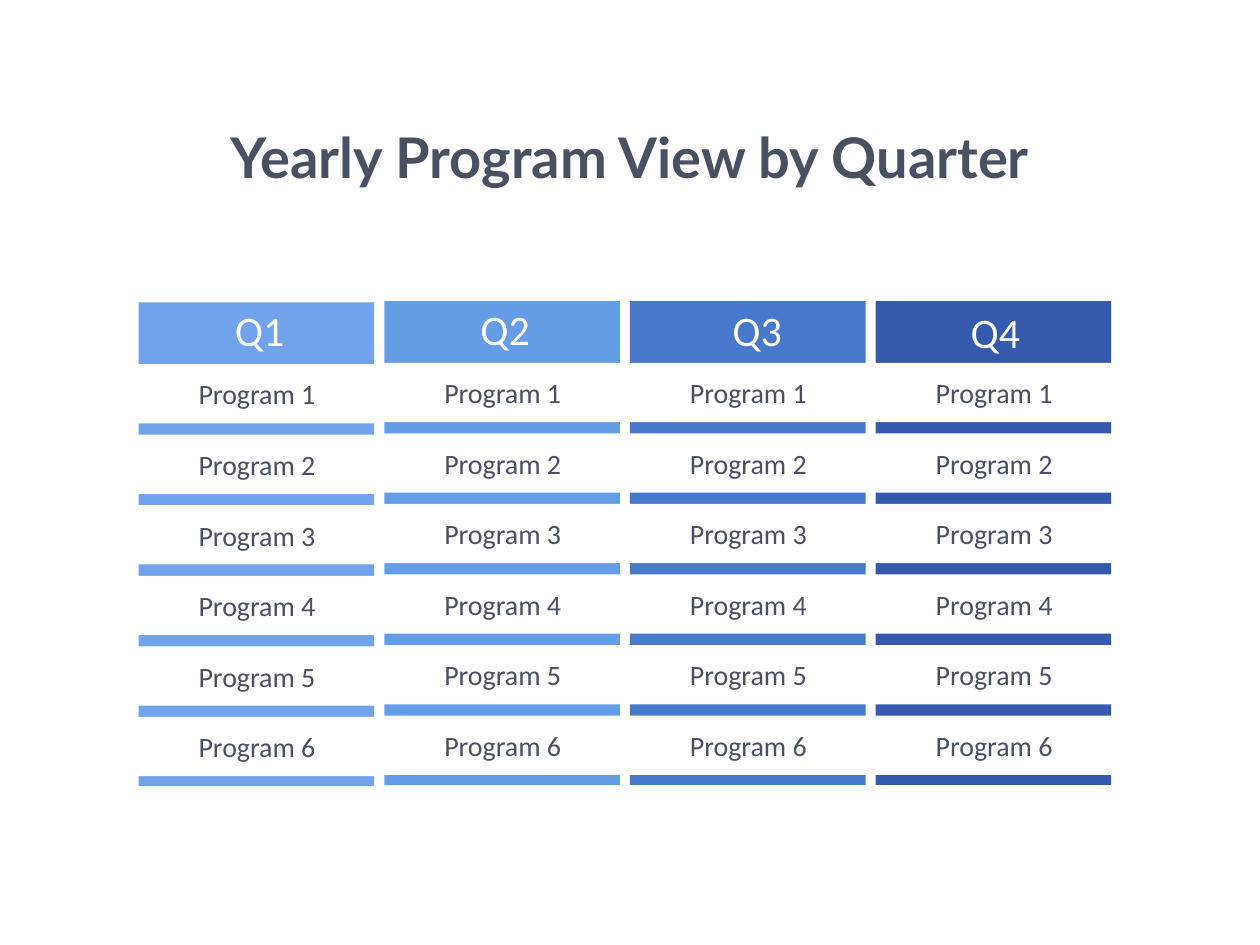
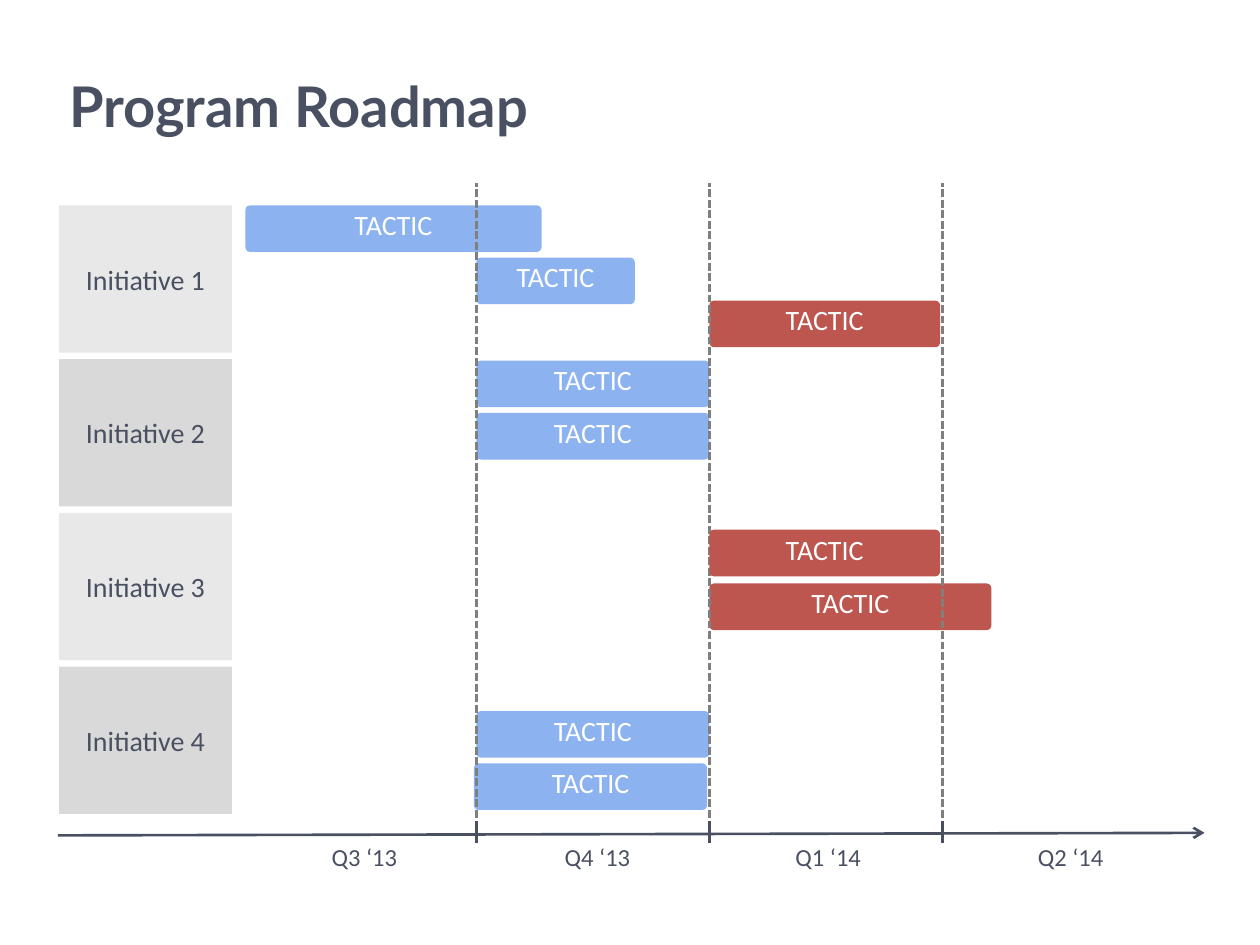
from dataclasses import dataclass
from typing import Any, NamedTuple

from lxml import etree
from pptx import Presentation
from pptx import util as u
from pptx.dml.color import RGBColor
from pptx.enum import dml, shapes, text
from pptx.oxml import ns

# Shared look
WIDE, HIGH = 10, 7.5
INK, WHITE, DASH = "495061", "FFFFFF", "7F7F7F"
BLUE, RED = "8CB2F0", "BD564F"
GREYS = ("E8E8E8", "D9D9D9")
RECT = shapes.MSO_SHAPE.RECTANGLE
ROUND = shapes.MSO_SHAPE.ROUNDED_RECTANGLE
LEFT, MID = text.PP_ALIGN.LEFT, text.PP_ALIGN.CENTER
HEAD = {"name": "Lato", "size": u.Pt(32), "bold": True}
BODY = {"name": "Calibri", "size": u.Pt(16)}
TERM = {"name": "Calibri", "size": u.Pt(24)}
DATE = {"name": "Calibri", "size": u.Pt(14)}


class Box(NamedTuple):
    x: float
    y: float
    w: float
    h: float


@dataclass
class Grid:
    """Evenly spaced columns and rows, in inches."""
    x: float
    y: float
    w: float
    h: float

    def col(self, n: float) -> float:
        return self.x + n * self.w

    def row(self, n: float) -> float:
        return self.y + n * self.h


class Term(NamedTuple):
    name: str
    fill: str
    nudge: float  # label centre, past the column centre
    drop: float   # shift down of the whole column


class Task(NamedTuple):
    start: float  # in quarters
    lane: float   # in rows
    span: float   # in quarters
    fill: str


def paint(tone: str) -> RGBColor:
    return RGBColor.from_string(tone)


def inches(*sizes: float) -> list[int]:
    return [u.Inches(size) for size in sizes]


def write(item: Any, words: str, font: dict, tone: str, align=MID,
          **frame: Any) -> None:
    body = item.text_frame
    for key, val in {"word_wrap": True, **frame}.items():
        setattr(body, key, val)
    par = body.paragraphs[0]
    par.text, par.alignment = words, align
    for key, val in font.items():
        setattr(par.font, key, val)
    par.font.color.rgb = paint(tone)


def label(slide: Any, box: Box, words: str, font: dict, tone: str,
          align=MID, **frame: Any) -> None:
    write(slide.shapes.add_textbox(*inches(*box)), words, font, tone,
          align, **frame)


def block(slide: Any, box: Box, fill: str, words: str = "",
          tone: str = INK, kind=RECT) -> Any:
    item = slide.shapes.add_shape(kind, *inches(*box))
    item.shadow.inherit = False
    item.fill.solid()
    item.fill.fore_color.rgb = paint(fill)
    item.line.fill.background()
    if words:
        write(item, words, BODY, tone,
              vertical_anchor=text.MSO_ANCHOR.MIDDLE)
    return item


def rule(slide: Any, x1: float, y1: float, x2: float, y2: float,
         tone: str = INK, dash: Any = None, arrow: bool = False) -> None:
    item = slide.shapes.add_connector(
        shapes.MSO_CONNECTOR.STRAIGHT, *inches(x1, y1, x2, y2))
    item.line.color.rgb = paint(tone)
    item.line.width = u.Pt(1.5)
    if dash:
        item.line.dash_style = dash
    if arrow:
        etree.SubElement(item.line._get_or_add_ln(), ns.qn("a:tailEnd"),
                         type="arrow")
    etree.SubElement(item._element.spPr, ns.qn("a:effectLst"))


def task_bar(slide: Any, grid: Grid, task: Task) -> None:
    box = Box(grid.col(task.start), grid.row(task.lane),
              task.span * grid.w, 0.37)
    bar = block(slide, box, task.fill, "TACTIC", WHITE, ROUND)
    bar.adjustments[0] = 0.1
    bar.text_frame.paragraphs[0].line_spacing = 0.7


# Slide 1: programs by quarter
TERMS = (
    Term("Q1", "70A3EB", 0.03, 0.01),
    Term("Q2", "649CE6", 0.03, 0),
    Term("Q3", "4678CC", 0.08, 0),
    Term("Q4", "3459AD", 0.02, 0),
)
LABEL_TOPS = (2.37, 2.36, 2.37, 2.38)


def year_view(slide: Any) -> None:
    label(slide, Box(0, 0.92, WIDE, 0.67), "Yearly Program View by Quarter",
          HEAD, INK)
    grid = Grid(1.1, 2.88, 1.95, 0.56)
    wide = 1.87
    for n, (term, top) in enumerate(zip(TERMS, LABEL_TOPS)):
        left = grid.col(n)
        block(slide, Box(left, 2.39 + term.drop, wide, 3.84), term.fill)
        mid = left + wide / 2 + term.nudge
        label(slide, Box(mid - 0.3, top, 0.59, 0.5), term.name, TERM, WHITE,
              word_wrap=False)
        for k in range(6):
            block(slide, Box(left - 0.01, grid.row(k) + term.drop, 1.9, 0.47),
                  WHITE, f"Program {k + 1}")


# Slide 2: roadmap
TASKS = (
    Task(0.01, 0, 1.27, BLUE),
    Task(1, 0.34, 0.68, BLUE),
    Task(1, 1.01, 1, BLUE),
    Task(1, 1.35, 1, BLUE),
    Task(1, 3.29, 1, BLUE),
    Task(0.99, 3.63, 1, BLUE),
    Task(2, 0.62, 0.99, RED),
    Task(2, 2.46, 1.21, RED),
)
FRONT = Task(2, 2.11, 0.99, RED)
DATES = {"Q3 ‘13": 0.52, "Q4 ‘13": 1.52, "Q1 ‘14": 2.51, "Q2 ‘14": 3.55}


def roadmap(slide: Any) -> None:
    label(slide, Box(0.45, 0.52, 7.04, 0.75), "Program Roadmap", HEAD, INK,
          LEFT)
    grid = Grid(1.93, 1.63, 1.85, 1.22)
    # Time line
    rule(slide, 0.46, 6.63, 9.56, 6.61, arrow=True)
    for name, spot in DATES.items():
        label(slide, Box(grid.col(spot) - 0.36, 6.63, 0.72, 0.34), name,
              DATE, INK, word_wrap=False)
    for n in range(4):
        block(slide, Box(0.47, grid.row(n), 1.37, 1.17), GREYS[n % 2],
              f"Initiative {n + 1}")
    for task in TASKS:
        task_bar(slide, grid, task)
    # Quarter bounds
    for n in range(1, 4):
        x = grid.col(n)
        rule(slide, x, 6.52, x, 6.69)
        rule(slide, x, 6.49, x, 1.45, DASH, dml.MSO_LINE.SQUARE_DOT)
    task_bar(slide, grid, FRONT)


def main() -> None:
    deck = Presentation()
    deck.slide_width, deck.slide_height = inches(WIDE, HIGH)
    for draw in (year_view, roadmap):
        draw(deck.slides.add_slide(deck.slide_layouts[6]))
    deck.save("out.pptx")


if __name__ == "__main__":
    main()
